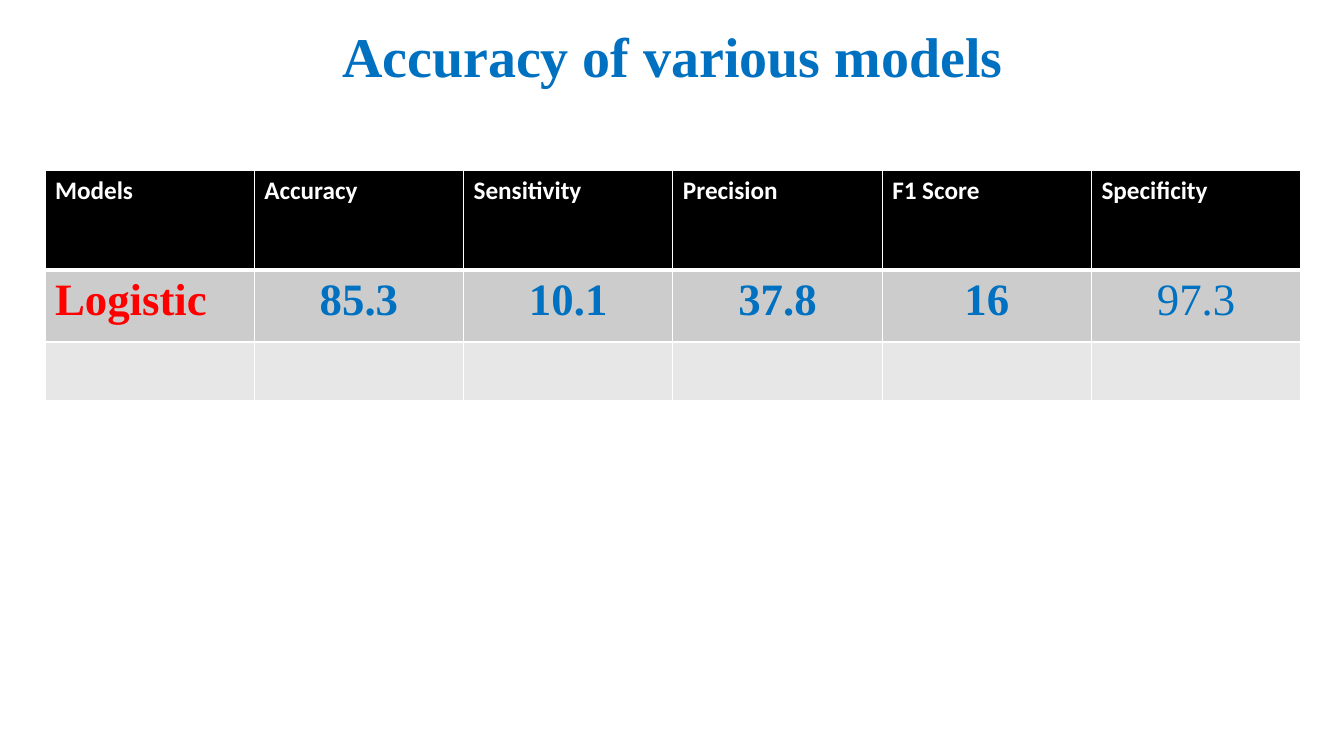
from lxml.etree import SubElement
from pptx import Presentation
from pptx.dml.color import RGBColor as RGB
from pptx.enum.text import MSO_ANCHOR as Anchor, PP_ALIGN as Align
from pptx.oxml.ns import qn
from pptx.util import Pt

SCALE = 914400 / 100.8
WHITE = RGB(255, 255, 255)
BLACK = RGB(0, 0, 0)
BLUE = RGB(0, 112, 192)
RED = RGB(255, 0, 0)
DARK = RGB(204, 204, 204)
LIGHT = RGB(231, 231, 231)
SERIF = "Times New Roman"

HEADS = ["Models", "Accuracy", "Sensitivity", "Precision", "F1 Score", "Specificity"]
SCORES = ["Logistic", "85.3", "10.1", "37.8", "16", "97.3"]
FILLS = [BLACK, DARK, LIGHT]
HEIGHTS = [100, 72, 59]


def px(count):
    return round(count * SCALE)


def write(frame, text, size=32, font=SERIF, color=BLUE, bold=True, align=Align.CENTER, space=1.0):
    para = frame.paragraphs[0]
    para.alignment = align
    para.line_spacing = space
    run = para.add_run()
    run.text = text
    run.font.size = Pt(size)
    run.font.name = font
    run.font.bold = bold
    run.font.color.rgb = color


def add_title(slide, text):
    box = slide.shapes.add_textbox(px(93), 0, px(1159), px(118))
    frame = box.text_frame
    frame.word_wrap = True
    frame.vertical_anchor = Anchor.MIDDLE
    write(frame, text, size=40, space=0.9)


def border(cell, top, base):
    props = cell._tc.get_or_add_tcPr()
    for side, width in [("L", 1), ("R", 1), ("T", top), ("B", base)]:
        line = SubElement(props, qn(f"a:ln{side}"), w=str(Pt(width)))
        fill = SubElement(line, qn("a:solidFill"))
        SubElement(fill, qn("a:srgbClr"), val=str(WHITE))


def add_grid(slide):
    frame = slide.shapes.add_table(len(FILLS), len(HEADS), px(45), px(170), px(1256), px(sum(HEIGHTS)))
    table = frame.table
    for row, (height, fill) in enumerate(zip(HEIGHTS, FILLS)):
        table.rows[row].height = px(height)
        for cell in table.rows[row].cells:
            border(cell, top=3 if row == 1 else 1, base=3 if row == 0 else 1)
            cell.fill.solid()
            cell.fill.fore_color.rgb = fill
    return table


def fill_grid(table):
    last = len(HEADS) - 1
    for col, (head, score) in enumerate(zip(HEADS, SCORES)):
        write(table.cell(0, col).text_frame, head, size=18, font="Calibri", color=WHITE, align=Align.LEFT)
        write(
            table.cell(1, col).text_frame,
            score,
            color=BLUE if col else RED,
            bold=col < last,
            align=Align.CENTER if col else Align.LEFT,
        )


def main():
    deck = Presentation()
    deck.slide_width = px(1344)
    deck.slide_height = px(756)
    slide = deck.slides.add_slide(deck.slide_layouts[6])
    add_title(slide, "Accuracy of various models")
    fill_grid(add_grid(slide))
    deck.save("out.pptx")


main()
